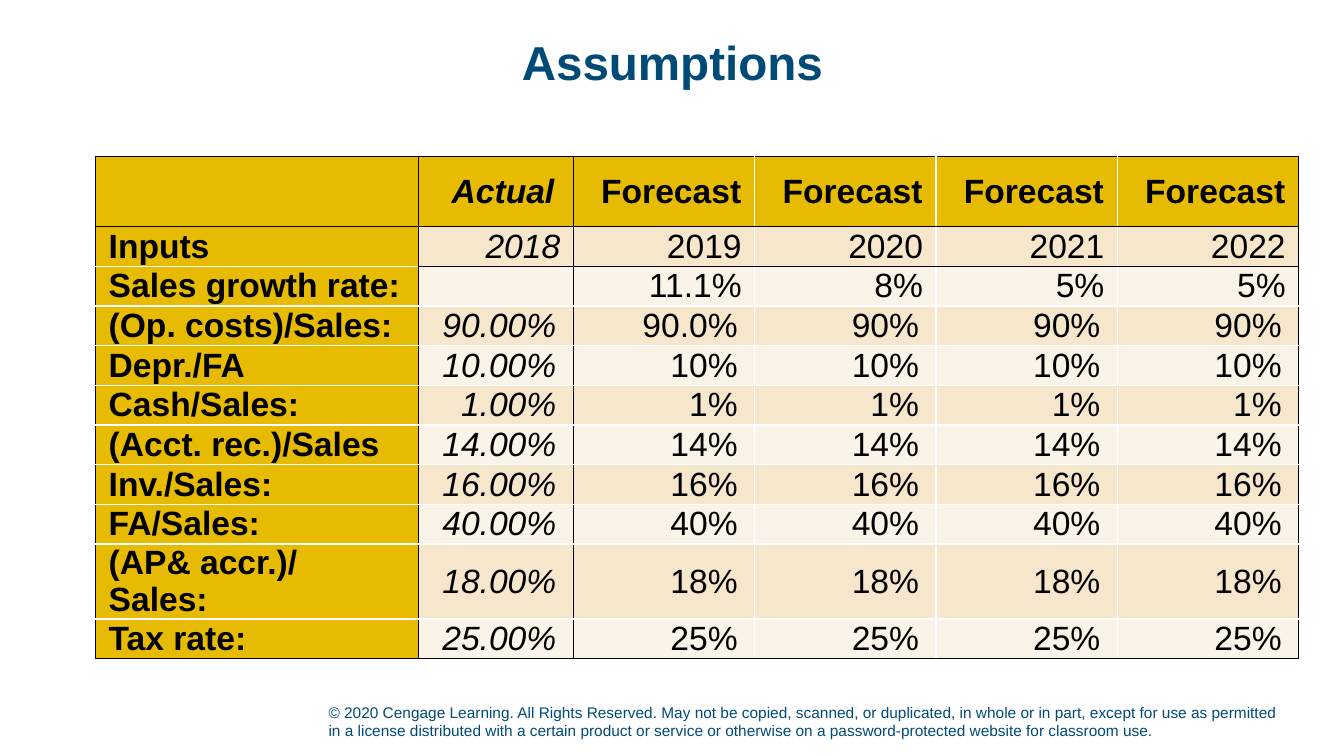
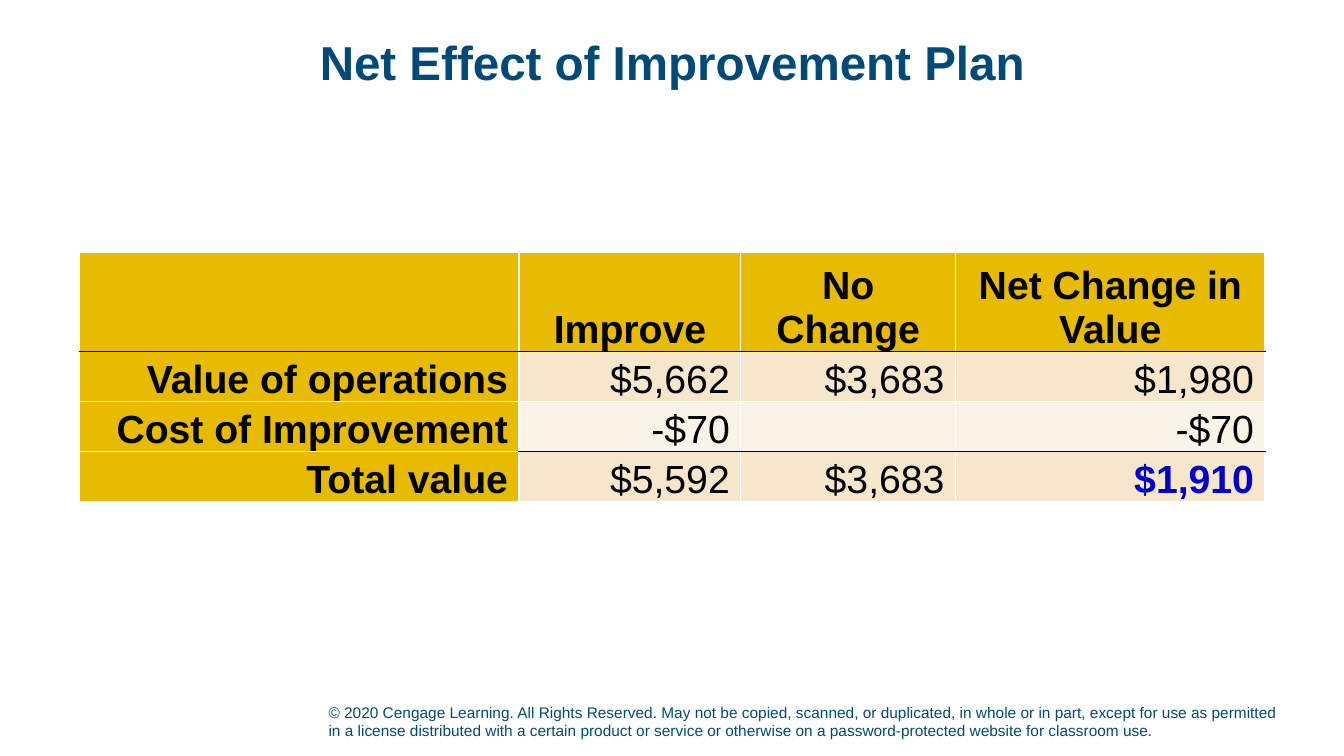
import pptx
import pptx.dml.color
import pptx.enum.text
import pptx.oxml
import pptx.oxml.ns
import pptx.util

Cm = pptx.util.Cm
Pt = pptx.util.Pt
ALIGN = pptx.enum.text.PP_ALIGN
ANCHOR = pptx.enum.text.MSO_ANCHOR

FONT = "Arial"
COLORS = {
    "navy": "004A78",
    "gold": "E7BB01",
    "band": "F6E7CC",
    "light": "FAF3E7",
    "black": "000000",
    "white": "FFFFFF",
    "blue": "0000CC",
}
COPYRIGHT = (
    "© 2020 Cengage Learning. All Rights Reserved. May not be copied, scanned, or "
    "duplicated, in whole or in part, except for use as permitted in a license "
    "distributed with a certain product or service or otherwise on a "
    "password-protected website for classroom use."
)
ASSUMPTIONS = [
    ["", "Actual", "Forecast", "Forecast", "Forecast", "Forecast"],
    ["Inputs", "2018", "2019", "2020", "2021", "2022"],
    ["Sales growth rate:", "", "11.1%", "8%", "5%", "5%"],
    ["(Op. costs)/Sales:", "90.00%", "90.0%", "90%", "90%", "90%"],
    ["Depr./FA", "10.00%", "10%", "10%", "10%", "10%"],
    ["Cash/Sales:", "1.00%", "1%", "1%", "1%", "1%"],
    ["(Acct. rec.)/Sales", "14.00%", "14%", "14%", "14%", "14%"],
    ["Inv./Sales:", "16.00%", "16%", "16%", "16%", "16%"],
    ["FA/Sales:", "40.00%", "40%", "40%", "40%", "40%"],
    ["(AP& accr.)/ Sales:", "18.00%", "18%", "18%", "18%", "18%"],
    ["Tax rate:", "25.00%", "25%", "25%", "25%", "25%"],
]
NET_EFFECT = [
    ["", "Improve", "No Change", "Net Change in Value"],
    ["Value of operations", "$5,662", "$3,683", "$1,980"],
    ["Cost of Improvement", "-$70", "", "-$70"],
    ["Total value", "$5,592", "$3,683", "$1,910"],
]


def rgb(color):
    return pptx.dml.color.RGBColor.from_string(COLORS[color])


def add_run(p, text, size, color, bold=False, italic=False):
    r = p.add_run()
    r.text = text
    r.font.name = FONT
    r.font.size = Pt(size)
    r.font.bold = bold
    r.font.italic = italic
    r.font.color.rgb = rgb(color)
    return r


def add_titled_slide(prs, layout, title):
    slide = prs.slides.add_slide(layout)
    sp = slide.shapes.title
    sp.left, sp.top, sp.width, sp.height = Cm(2.34), Cm(0.38), Cm(29.21), Cm(2.54)
    sp.text_frame.vertical_anchor = ANCHOR.MIDDLE
    p = sp.text_frame.paragraphs[0]
    p.alignment = ALIGN.CENTER
    p.line_spacing = 0.9
    add_run(p, title, 34, "navy", bold=True)
    return slide


def move_footer_to_layout(slide, layout):
    for placeholder in list(layout.placeholders):
        if placeholder.placeholder_format.idx >= 10:
            layout.shapes.element.remove(placeholder.element)
    sp = slide.shapes.add_textbox(Cm(8.03), Cm(17.5), Cm(24.46), Cm(1.27))
    tf = sp.text_frame
    tf.word_wrap = True
    tf.vertical_anchor = ANCHOR.BOTTOM
    add_run(tf.paragraphs[0], COPYRIGHT, 11, "navy")
    layout.shapes.element.append(sp.element)


def set_borders(cell, sides):
    tc_pr = cell._tc.get_or_add_tcPr()
    for side, is_black in sides:
        color = COLORS["black" if is_black else "white"]
        tc_pr.append(pptx.oxml.parse_xml(
            f'<a:ln{side} {pptx.oxml.ns.nsdecls("a")} w="12700"><a:solidFill>'
            f'<a:srgbClr val="{color}"/></a:solidFill></a:ln{side}>'
        ))


def add_grid(slide, rows, left, top, widths, heights, size, anchor, inset,
             black_row_line, black_col_line, label_align):
    frame = slide.shapes.add_table(
        len(rows), len(widths), Cm(left), Cm(top), Cm(sum(widths)), Cm(sum(heights)))
    table = frame.table
    table.first_row = table.horz_banding = False
    for column, width in zip(table.columns, widths):
        column.width = Cm(width)
    for row, height in zip(table.rows, heights):
        row.height = Cm(height)
    for i, values in enumerate(rows):
        for j, text in enumerate(values):
            cell = table.cell(i, j)
            is_label = i == 0 or j == 0
            set_borders(cell, [
                ("L", black_col_line(j)), ("R", black_col_line(j + 1)),
                ("T", black_row_line(i, j)), ("B", black_row_line(i + 1, j)),
            ])
            cell.fill.solid()
            cell.fill.fore_color.rgb = rgb("gold" if is_label else "band" if i % 2 else "light")
            cell.vertical_anchor = anchor
            cell.margin_left = cell.margin_right = Cm(inset)
            cell.margin_top = cell.margin_bottom = 0
            if text:
                p = cell.text_frame.paragraphs[0]
                p.alignment = ALIGN.CENTER if i == 0 else label_align if j == 0 else ALIGN.RIGHT
                add_run(p, text, size, "black", bold=is_label)
    return table


def build_assumptions(slide):
    last = len(ASSUMPTIONS)
    table = add_grid(
        slide, ASSUMPTIONS, 2.41, 3.94, [8.13, 3.91] + [4.57] * 4,
        [1.77] + [1.0] * (last - 1), 24, ANCHOR.MIDDLE, 0.33,
        lambda i, j: i in (0, 1, last) or (i == 2 and j > 0),
        lambda j: j in (0, 1, 2, 6), ALIGN.LEFT)
    for i in range(last):
        for r in table.cell(i, 1).text_frame.paragraphs[0].runs:
            r.font.italic = True
        for j in range(1, 6):
            cell = table.cell(i, j)
            if i == 0:
                p_pr = cell.text_frame.paragraphs[0]._p.get_or_add_pPr()
                p_pr.set("indent", str(int(Cm(0.36))))
            elif i > 2:
                cell.margin_left, cell.margin_right = 0, Cm(0.43)


def build_net_effect(slide):
    table = add_grid(
        slide, NET_EFFECT, 2.01, 6.35, [11.07, 5.59, 5.41, 7.8],
        [2.51] + [1.26] * 3, 28, ANCHOR.BOTTOM, 0.28,
        lambda i, j: i == 1 or (i == 3 and j > 0),
        lambda j: False, ALIGN.RIGHT)
    r = table.cell(3, 3).text_frame.paragraphs[0].runs[0]
    r.font.bold = True
    r.font.color.rgb = rgb("blue")


def main():
    prs = pptx.Presentation()
    prs.slide_width, prs.slide_height = Cm(33.87), Cm(19.05)
    layout = prs.slide_layouts[5]
    assumptions = add_titled_slide(prs, layout, "Assumptions")
    move_footer_to_layout(assumptions, layout)
    build_assumptions(assumptions)
    build_net_effect(add_titled_slide(prs, layout, "Net Effect of Improvement Plan"))
    prs.save("out.pptx")


if __name__ == "__main__":
    main()
